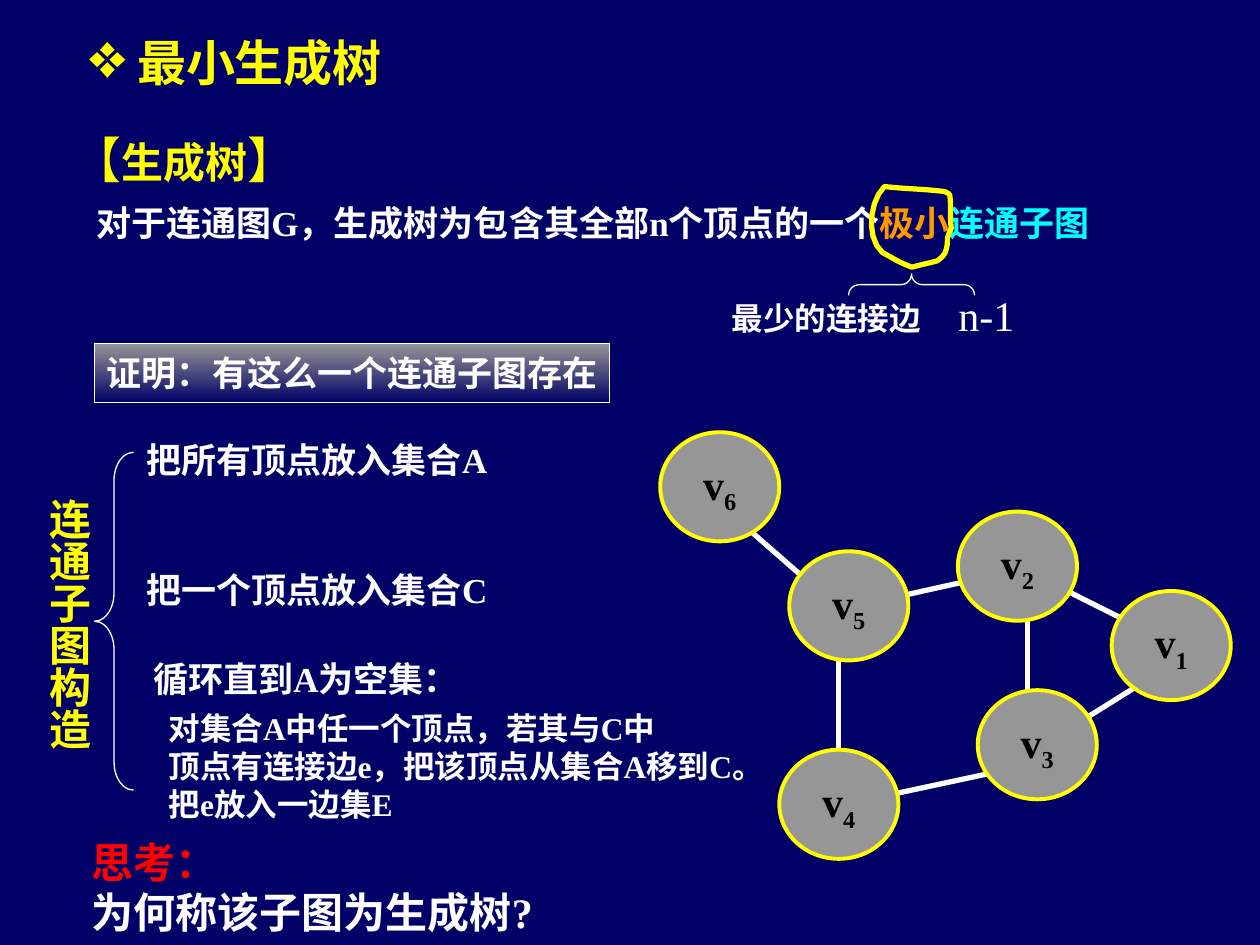
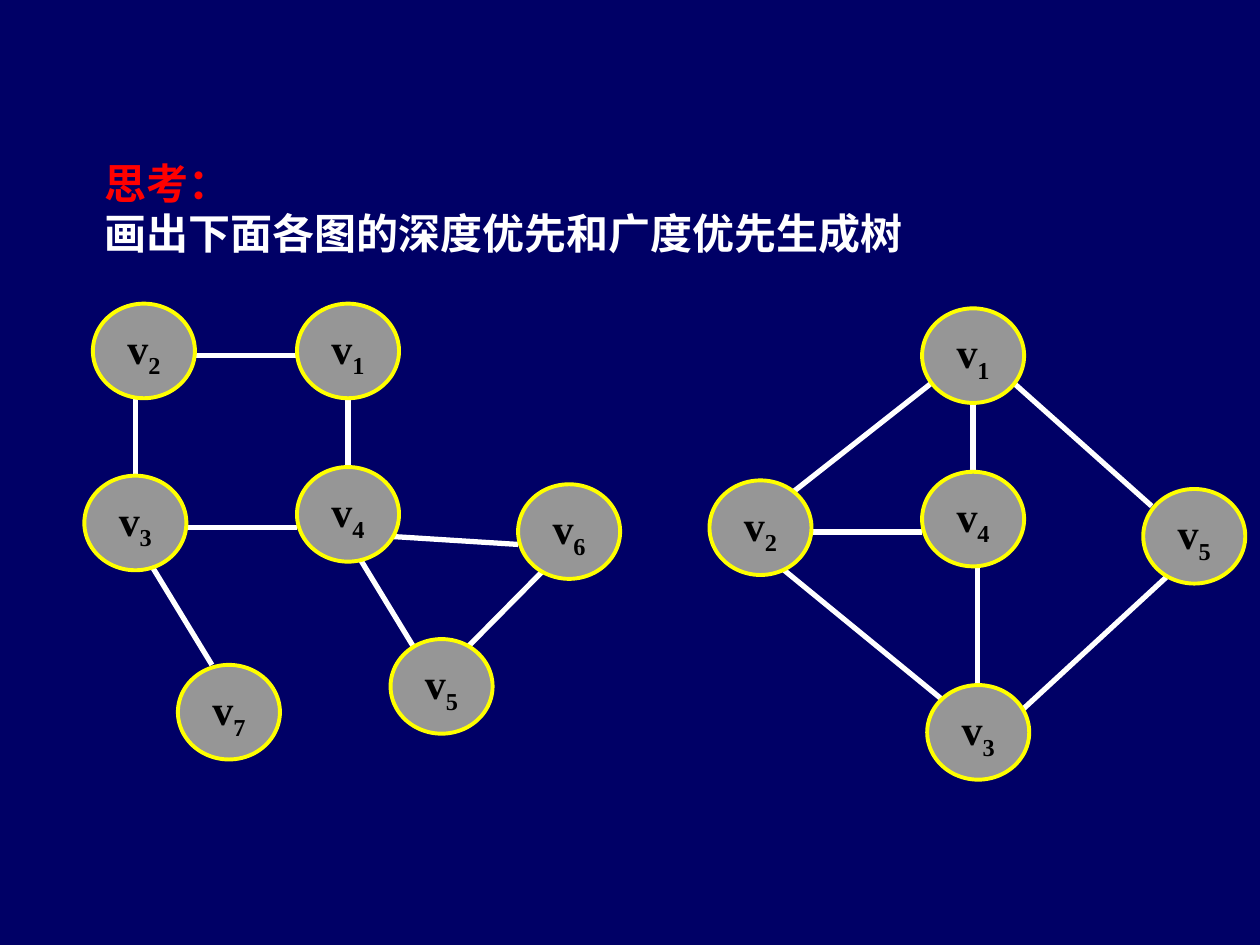
import pptx
import pptx.dml.color
import pptx.enum.shapes
import pptx.enum.text
import pptx.oxml
import pptx.oxml.ns
import pptx.util
from dataclasses import dataclass

Pt = pptx.util.Pt
SHAPE = pptx.enum.shapes.MSO_SHAPE
ALIGN = pptx.enum.text.PP_ALIGN
ANCHOR = pptx.enum.text.MSO_ANCHOR
AUTO = pptx.enum.text.MSO_AUTO_SIZE


@dataclass(frozen=True)
class Theme:
    font: str = "Times New Roman"
    navy: str = "000066"
    yellow: str = "FFFF00"
    white: str = "FFFFFF"
    black: str = "000000"
    grey: str = "969696"
    orange: str = "FF9900"
    cyan: str = "00FFFF"
    red: str = "FF0000"
    title: int = 28
    heading: int = 24
    body: int = 20
    detail: int = 18


T = Theme()


def rgb(color):
    return pptx.dml.color.RGBColor.from_string(color)


# Text and shape helpers
def write(sp, paragraphs, size=T.body, color=T.white, bold=True, align=ALIGN.LEFT,
          anchor=ANCHOR.TOP, fit=AUTO.SHAPE_TO_FIT_TEXT, wrap=False):
    """Fill sp; a paragraph is a string or a list of (text, overrides) runs."""
    tf = sp.text_frame
    tf.word_wrap, tf.auto_size, tf.vertical_anchor = wrap, fit, anchor
    for i, runs in enumerate(paragraphs):
        p = tf.add_paragraph() if i else tf.paragraphs[0]
        p.alignment = align
        for text, own in [(runs, {})] if isinstance(runs, str) else runs:
            r = p.add_run()
            r.text = text
            r.font.name = T.font
            r.font.size = Pt(own.get("size", size))
            r.font.bold = own.get("bold", bold)
            r.font.color.rgb = rgb(own.get("color", color))
            if "baseline" in own:
                r.font._element.set("baseline", str(own["baseline"]))
    return sp


def put_text(s, x, y, w, h, paragraphs, **fmt):
    return write(s.shapes.add_textbox(Pt(x), Pt(y), Pt(w), Pt(h)), paragraphs, **fmt)


def style(sp, line, width, fill=None):
    sp.shadow.inherit = False
    sp.line.color.rgb = rgb(line)
    sp.line.width = Pt(width)
    if fill:
        sp.fill.solid()
        sp.fill.fore_color.rgb = rgb(fill)
    else:
        sp.fill.background()
    return sp


def set_title(s, x, y, w, h, paragraphs, **fmt):
    sp = s.shapes.title
    sp.left, sp.top, sp.width, sp.height = Pt(x), Pt(y), Pt(w), Pt(h)
    return write(sp, paragraphs, **fmt)


def add_bullet(p, char, color, percent):
    pPr = p._p.get_or_add_pPr()
    pPr.set("marL", "0")
    pPr.set("indent", "0")
    ns = pptx.oxml.ns.nsdecls("a")
    for xml in (f'<a:buClr {ns}><a:srgbClr val="{color}"/></a:buClr>',
                f'<a:buSzPct {ns} val="{percent * 1000}"/>',
                f'<a:buChar {ns} char="{char}"/>'):
        pPr.append(pptx.oxml.parse_xml(xml))


def add_brace(s, x, y, w, h, curve, rotation=0):
    sp = style(s.shapes.add_shape(SHAPE.LEFT_BRACE, Pt(x), Pt(y), Pt(w), Pt(h)), T.white, 0.75)
    sp.adjustments[0] = curve
    sp.rotation = rotation


def question(text):
    return [[("思考：", {"color": T.red})], text]


# Graphs: vertices and edges lie on a grid of half units
VERTEX_W, VERTEX_H = 6, 5.5


def draw_graph(s, left, top, unit_x, unit_y, vertices, edges):
    grp = s.shapes.add_group_shape()

    def at(x, y):
        return Pt(left + x * unit_x), Pt(top + y * unit_y)

    for x1, y1, x2, y2 in edges:
        c = grp.shapes.add_connector(pptx.enum.shapes.MSO_CONNECTOR.STRAIGHT,
                                     *at(x1, y1), *at(x2, y2))
        c.line.color.rgb = rgb(T.white)
        c.line.width = Pt(3)
        c._element.spPr.append(pptx.oxml.parse_xml(
            f'<a:effectLst {pptx.oxml.ns.nsdecls("a")}/>'))
    for number, (x, y) in vertices.items():
        sp = grp.shapes.add_shape(SHAPE.OVAL, *at(x, y),
                                  Pt(VERTEX_W * unit_x), Pt(VERTEX_H * unit_y))
        style(sp, T.yellow, 2.25, T.grey)
        write(sp, [[("v", {}), (str(number), {"baseline": -25000})]], size=T.heading,
              color=T.black, align=ALIGN.CENTER, anchor=ANCHOR.MIDDLE, fit=AUTO.NONE)


EXAMPLE_VERTICES = {1: (22.75, 8), 2: (15, 4), 3: (16, 13), 6: (0, 0), 5: (6.5, 6), 4: (6, 16)}
EXAMPLE_EDGES = [
    (18.5, 8.5, 18.5, 14), (9, 10.5, 9, 17), (23.5, 9.5, 19.5, 7.5), (24.5, 12.5, 20.5, 15),
    (17.5, 17, 10.5, 18.5), (15.5, 7.5, 11, 8.5), (8, 8, 4, 4.5)]

LEFT_VERTICES = {1: (12.5, 0), 2: (0.5, 0), 3: (0, 10), 6: (25.5, 10.5),
                 5: (18, 19.5), 4: (12.5, 9.5), 7: (5.5, 21)}
LEFT_EDGES = [
    (3.5, 14.5, 7.5, 21), (3, 5, 3, 10.5), (16, 14.5, 20, 21), (15.5, 10, 15.5, 5.5),
    (27, 15.5, 22, 20.5), (25.5, 14, 17.5, 13.5), (12.5, 3, 6.5, 3), (12.5, 13, 5.5, 13)]

RIGHT_VERTICES = {1: (12.5, 0), 3: (12.8, 21.9), 2: (0, 10), 5: (25.5, 10.5), 4: (12.5, 9.5)}
RIGHT_EDGES = [
    (3.5, 14.5, 14, 23), (15.75, 14.5, 15.75, 22), (15.5, 10, 15.5, 5.5),
    (27, 15.5, 18, 23.7), (26, 11.5, 17.5, 4), (13.5, 4, 4.5, 11), (12.5, 13, 5.5, 13)]

# Hand-drawn ring: a start point, then two controls and an end per curve
RING_START = (10.8, 0)
RING_CURVES = [
    ((0.7, 10.1), (0, 36), (14.4, 40.3)),
    ((18, 42.5), (22.3, 44.6), (26.6, 46.1)),
    ((31.7, 44.6), (36, 43.9), (41, 42.5)),
    ((43.9, 40.3), (45.4, 38.9), (46.1, 36)),
    ((46.8, 33.8), (46.8, 31.7), (46.8, 29.5)),
    ((47.5, 27.4), (49, 23.8), (49, 23.8)),
    ((48.2, 17.3), (49, 10.8), (48.2, 5)),
    ((47.5, 3.6), (46.1, 3.6), (45.4, 2.9)),
    ((33.8, 1.4), (22.3, 1.4), RING_START)]


def draw_ring(s, left, top, steps=8):
    points, start = [], RING_START
    for c1, c2, end in RING_CURVES:
        for t in (i / steps for i in range(1, steps + 1)):
            u = 1 - t
            x, y = (u**3 * a + 3 * u * u * t * b + 3 * u * t * t * c + t**3 * d
                    for a, b, c, d in zip(start, c1, c2, end))
            points.append((Pt(left + x), Pt(top + y)))
        start = end
    fb = s.shapes.build_freeform(*points[-1], scale=1.0)
    fb.add_line_segments(points[:-1], close=True)
    style(fb.convert_to_shape(), T.yellow, 3)


# Regions of the first slide
def definition(s, x, y):
    put_text(s, x, y, 245.5, 41, [[("【", {"size": T.title, "bold": False}), ("生成树", {}),
                                  ("】", {"size": T.title, "bold": False})]],
             size=T.heading, color=T.yellow, wrap=True)
    put_text(s, x + 3.6, y + 41, 601.2, 31.7,
             [[("对于连通图G，生成树为包含其全部n个顶点的一个", {}),
               ("极小", {"color": T.orange}), ("连通子图", {"color": T.cyan})]],
             align=ALIGN.CENTER)
    draw_ring(s, x + 460, y + 36)
    add_brace(s, x + 480.2, y + 56.1, 12.2, 72, 0.5, rotation=90)
    put_text(s, x + 376.5, y + 96.5, 122.4, 28.8, ["最少的连接边"],
             size=T.detail, align=ALIGN.CENTER)
    put_text(s, x + 501.1, y + 91.4, 56, 36, ["n-1"],
             size=T.heading, bold=False, align=ALIGN.CENTER)


def claim(s, x, y, w, h):
    sp = style(s.shapes.add_shape(SHAPE.RECTANGLE, Pt(x), Pt(y), Pt(w), Pt(h)), T.white, 0.75)
    sp.fill.gradient()
    sp.fill.gradient_angle = 270
    for stop, color in zip(sp.fill.gradient_stops, (T.grey, T.navy)):
        stop.color.rgb = rgb(color)
    write(sp, ["证明：有这么一个连通子图存在"], anchor=ANCHOR.MIDDLE, fit=AUTO.NONE)


def construction(s, x, y):
    add_brace(s, x + 39.6, y + 11.5, 22.3, 193, 0.72)
    steps = [(59.8, 0, 213.8, "把所有顶点放入集合A"), (59.8, 74.2, 213.8, "把一个顶点放入集合C"),
             (61.2, 125.3, 198.7, "循环直到A为空集：")]
    for dx, dy, w, text in steps:
        put_text(s, x + dx, y + dy, w, 31.7, [text], align=ALIGN.CENTER)
    put_text(s, x + 74.9, y + 154.8, 380.2, 72,
             ["对集合A中任一个顶点，若其与C中",
              "顶点有连接边e，把该顶点从集合A移到C。",
              "把e放入一边集E"], size=T.detail)
    sp = put_text(s, x, y + 30.5, 43.2, 151.2, ["连通子图构造"],
                  size=T.heading, color=T.yellow, align=ALIGN.CENTER)
    tf = sp.text_frame
    tf.margin_left = tf.margin_right = Pt(3.6)
    tf.margin_top = tf.margin_bottom = Pt(7.2)
    tf._txBody.bodyPr.set("vert", "eaVert")


# Slides
def spanning_tree_slide(prs, layout):
    s = prs.slides.add_slide(layout)
    sp = set_title(s, 43.9, 15.1, 200, 41, [" 最小生成树"], size=T.title, color=T.yellow)
    add_bullet(sp.text_frame.paragraphs[0], "❖", T.yellow, 130)
    definition(s, 34.6, 70.6)
    draw_graph(s, 377.3, 247, 11.34, 11.34, EXAMPLE_VERTICES, EXAMPLE_EDGES)
    claim(s, 54, 196.2, 294.5, 33.8)
    construction(s, 14.4, 247)
    put_text(s, 45.4, 474.5, 272.2, 64.8, question("为何称该子图为生成树?"), size=T.heading)


def exercise_slide(prs, layout):
    s = prs.slides.add_slide(layout)
    set_title(s, 52.6, 86.4, 500, 64.8,
              question("画出下面各图的深度优先和广度优先生成树"), size=T.heading)
    draw_graph(s, 48.2, 173.5, 9.72, 9.83, LEFT_VERTICES, LEFT_EDGES)
    draw_graph(s, 405.4, 176.2, 9.72, 9.83, RIGHT_VERTICES, RIGHT_EDGES)


def main():
    prs = pptx.Presentation()
    prs.slide_width, prs.slide_height = Pt(720), Pt(540)
    fill = prs.slide_master.background.fill
    fill.solid()
    fill.fore_color.rgb = rgb(T.navy)
    title_only = prs.slide_layouts[5]
    spanning_tree_slide(prs, title_only)
    exercise_slide(prs, title_only)
    prs.save("out.pptx")


if __name__ == "__main__":
    main()
